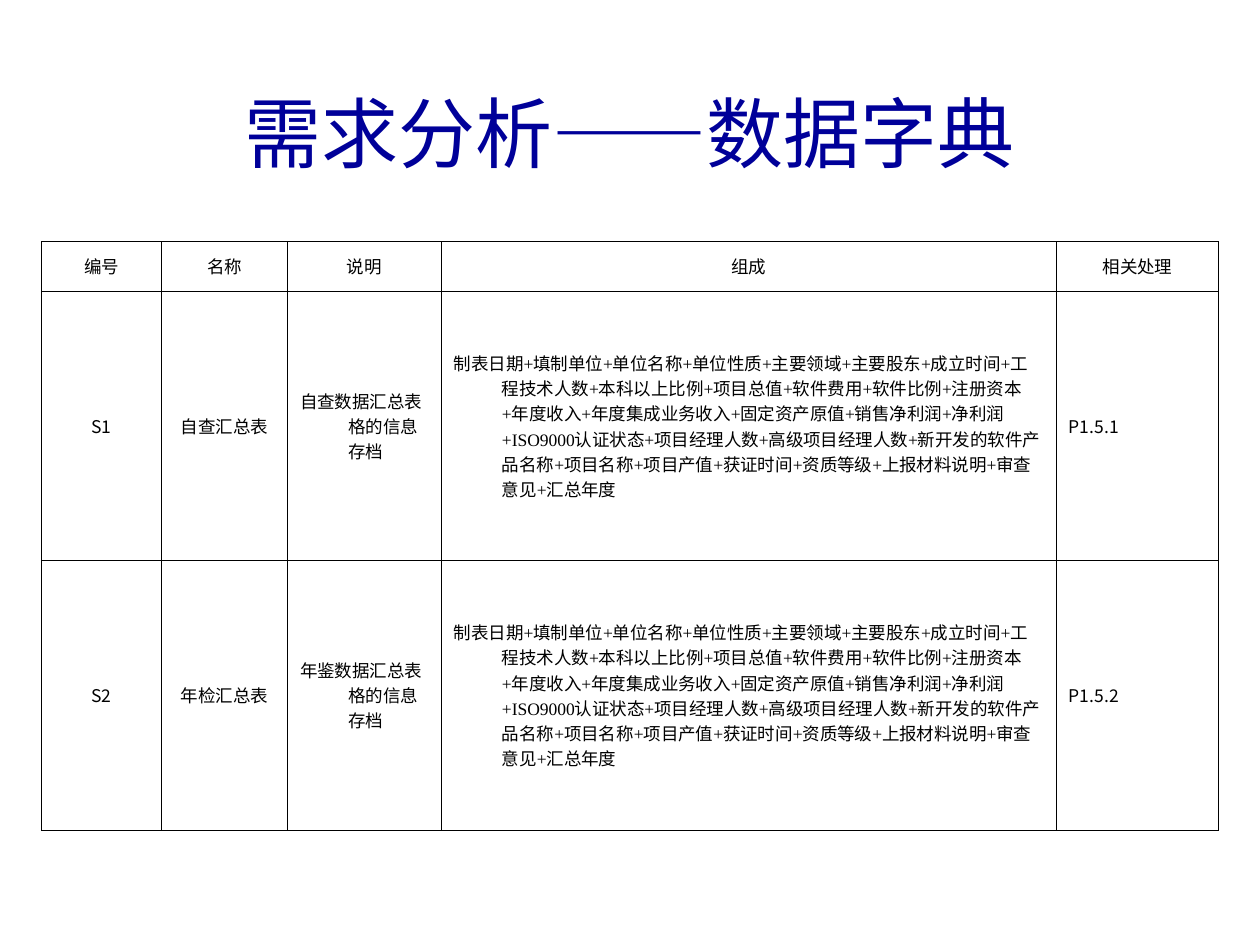
from dataclasses import dataclass

from lxml import etree
from pptx import Presentation
from pptx import util as u
from pptx.dml.color import RGBColor
from pptx.enum import text
from pptx.oxml import ns


@dataclass(frozen=True)
class Theme:
    title_color: str = "000099"
    ink: str = "000000"
    title_size: float = 44
    body_size: float = 10
    border_width: float = 0.45
    title_font: str = "Arial"
    body_font: str = "Noto Sans CJK SC"
    formula_font: str = "Times New Roman"


THEME = Theme()
HANGING = u.Cm(0.97)
TABLE_TOP = u.Cm(4.87)
COLUMN_WIDTHS = [u.Cm(w) for w in (2.42, 2.54, 3.1, 12.4, 3.27)]
ROW_HEIGHTS = [u.Cm(h) for h in (1, 5.43, 5.43)]
FORMULA_COLUMN = 3
CENTERED_COLUMNS = (0, 1)

COMPOSITION = "+".join((
    "制表日期", "填制单位", "单位名称", "单位性质", "主要领域", "主要股东",
    "成立时间", "工程技术人数", "本科以上比例", "项目总值", "软件费用",
    "软件比例", "注册资本", "年度收入", "年度集成业务收入", "固定资产原值",
    "销售净利润", "净利润", "ISO9000认证状态", "项目经理人数",
    "高级项目经理人数", "新开发的软件产品名称", "项目名称", "项目产值",
    "获证时间", "资质等级", "上报材料说明", "审查意见", "汇总年度",
))
DICTIONARY = (
    ("编号", "名称", "说明", "组成", "相关处理"),
    ("S1", "自查汇总表", "自查数据汇总表格的信息存档", COMPOSITION, "P1.5.1"),
    ("S2", "年检汇总表", "年鉴数据汇总表格的信息存档", COMPOSITION, "P1.5.2"),
)


def apply(target, formats):
    for name, value in formats.items():
        setattr(target, name, value)


def write(paragraph, wording, font, size, color, align):
    paragraph.alignment = align
    run = paragraph.add_run()
    run.text = wording
    apply(run.font, {"name": font, "size": u.Pt(size), "bold": False})
    run.font.color.rgb = RGBColor.from_string(color)
    east_asian = etree.SubElement(run.font._element, ns.qn("a:ea"))
    east_asian.set("typeface", THEME.body_font)


def add_title(slide, wording):
    title = slide.shapes.add_textbox(u.Cm(0.84), u.Cm(1.07), u.Cm(23.72), u.Cm(3.17))
    apply(title.text_frame, {
        "word_wrap": True,
        "vertical_anchor": text.MSO_ANCHOR.MIDDLE,
    })
    write(title.text_frame.paragraphs[0], wording, THEME.title_font,
          THEME.title_size, THEME.title_color, text.PP_ALIGN.CENTER)


def outline(cell):
    properties = cell._tc.get_or_add_tcPr()
    for side in ("lnL", "lnR", "lnT", "lnB"):
        line = etree.SubElement(properties, ns.qn(f"a:{side}"),
                                w=str(int(u.Pt(THEME.border_width))))
        fill = etree.SubElement(line, ns.qn("a:solidFill"))
        etree.SubElement(fill, ns.qn("a:srgbClr"), val=THEME.ink)


def fill_cell(cell, wording, font, align):
    outline(cell)
    cell.fill.background()
    cell.vertical_anchor = text.MSO_ANCHOR.MIDDLE
    paragraph = cell.text_frame.paragraphs[0]
    write(paragraph, wording, font, THEME.body_size, THEME.ink, align)
    indents = paragraph._p.get_or_add_pPr()
    indents.set("marL", str(int(HANGING)))
    indents.set("indent", str(-int(HANGING)))


def add_dictionary(slide, slide_width):
    width = sum(COLUMN_WIDTHS)
    table = slide.shapes.add_table(
        len(ROW_HEIGHTS), len(COLUMN_WIDTHS), (slide_width - width) // 2,
        TABLE_TOP, width, sum(ROW_HEIGHTS)).table
    apply(table, {"first_row": False, "horz_banding": False})
    for column, column_width in zip(table.columns, COLUMN_WIDTHS):
        column.width = column_width
    for row, height in zip(table.rows, ROW_HEIGHTS):
        row.height = height
    for r, entry in enumerate(DICTIONARY):
        for c, wording in enumerate(entry):
            is_header = r == 0
            is_formula = c == FORMULA_COLUMN and not is_header
            centered = is_header or c in CENTERED_COLUMNS
            fill_cell(table.cell(r, c), wording,
                      THEME.formula_font if is_formula else THEME.body_font,
                      text.PP_ALIGN.CENTER if centered else text.PP_ALIGN.LEFT)


def main():
    deck = Presentation()
    apply(deck, {"slide_width": u.Cm(25.4), "slide_height": u.Cm(19.05)})
    slide = deck.slides.add_slide(deck.slide_layouts[6])
    add_title(slide, "需求分析——数据字典")
    add_dictionary(slide, deck.slide_width)
    deck.save("out.pptx")


if __name__ == "__main__":
    main()
